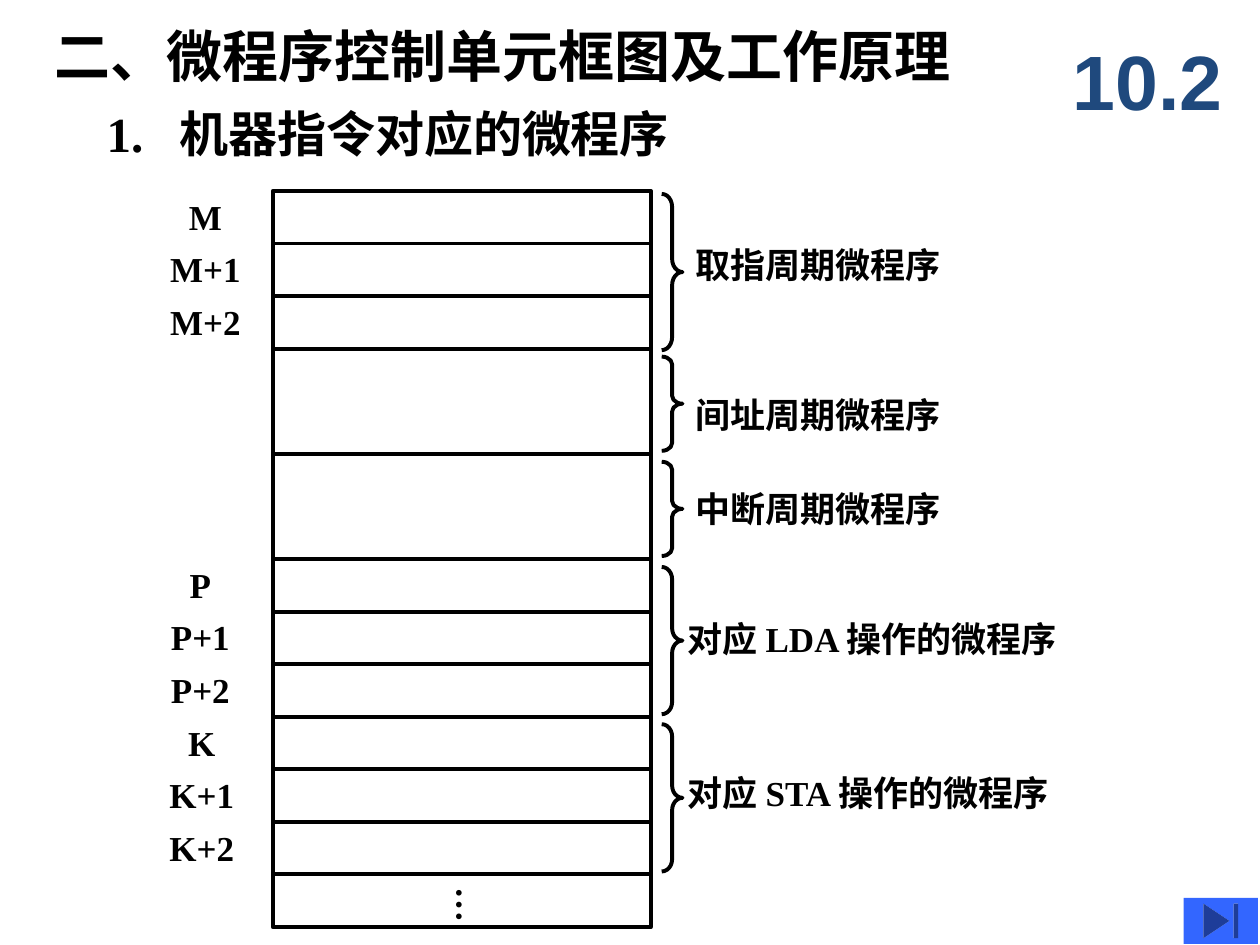
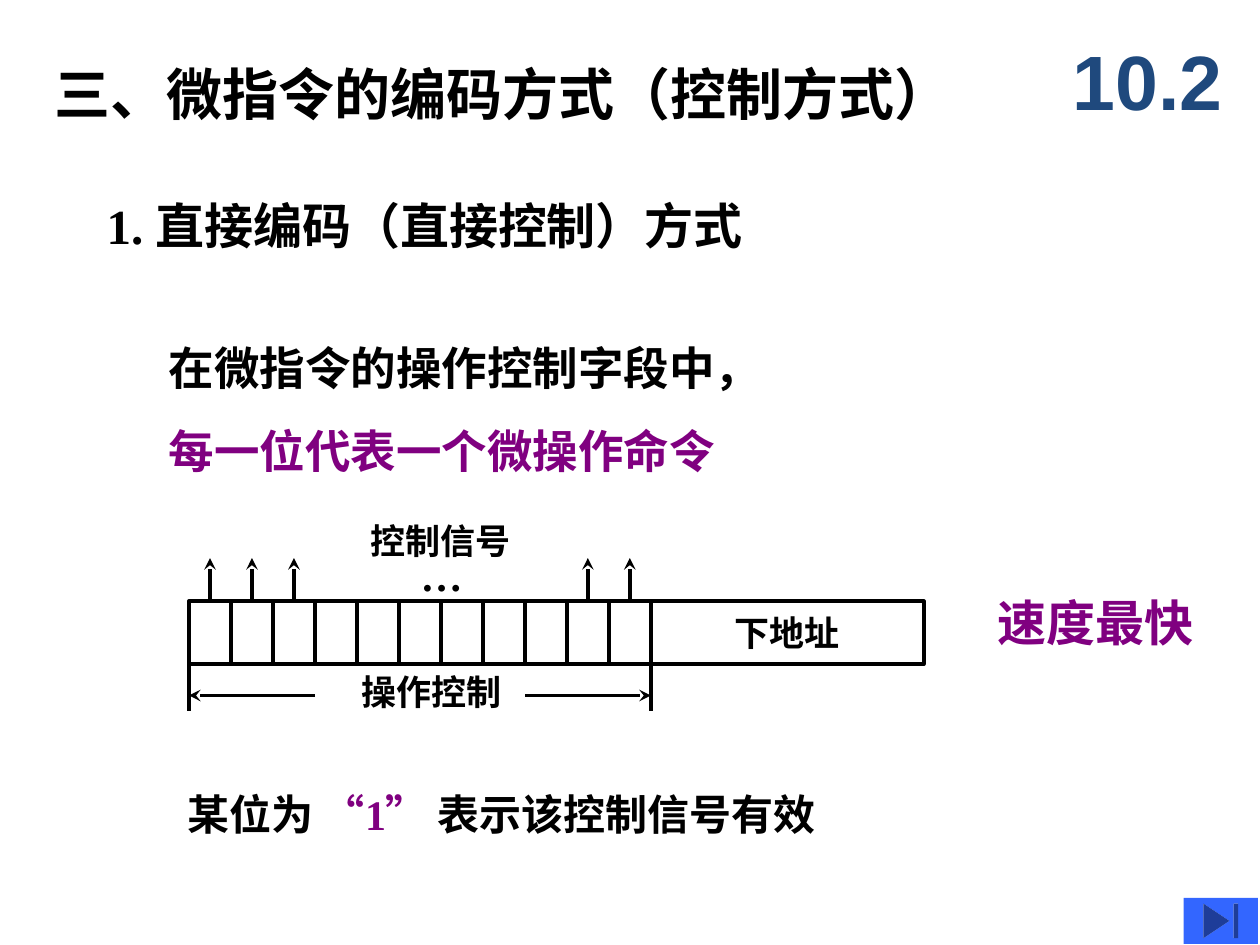
"""Build two slides on microprogram layout and direct encoding of microinstructions."""
from dataclasses import dataclass

from lxml import etree
from pptx import Presentation
from pptx.dml.color import RGBColor
from pptx.enum.shapes import MSO_CONNECTOR, MSO_SHAPE
from pptx.enum.text import MSO_ANCHOR, MSO_AUTO_SIZE, PP_ALIGN
from pptx.oxml.ns import qn
from pptx.util import Cm, Pt

RECT, BRACE = MSO_SHAPE.RECTANGLE, MSO_SHAPE.RIGHT_BRACE
BUTTON = MSO_SHAPE.ACTION_BUTTON_END
LINE = MSO_CONNECTOR.STRAIGHT
TOP, MIDDLE = MSO_ANCHOR.TOP, MSO_ANCHOR.MIDDLE
LEFT, CENTER = PP_ALIGN.LEFT, PP_ALIGN.CENTER
FIXED = MSO_AUTO_SIZE.NONE


@dataclass(frozen=True)
class Theme:
    """Colours, fonts and type sizes in points."""
    ink: str = "000000"
    accent: str = "800080"
    navy: str = "1F497D"
    blue: str = "3366FF"
    serif: str = "Times New Roman"
    sans: str = "DejaVu Sans"
    plain: str = "Arial"
    tag: int = 44
    title: int = 32
    head: int = 28
    body: int = 26
    note: int = 24
    label: int = 20
    line: float = 2.25


class Deck:
    """Hold the style and the slide being drawn."""

    def __init__(self, theme):
        """Open an empty 4:3 deck."""
        self.theme = theme
        self.file = Presentation()
        self.file.slide_width, self.file.slide_height = Cm(25.4), Cm(19.05)
        self.slide = None

    def page(self, title, top, font):
        """Add a slide with its title, section tag and button."""
        t = self.theme
        self.slide = self.file.slides.add_slide(self.file.slide_layouts[5])
        head = self.slide.shapes.title
        head.left, head.top, head.width, head.height = Cm(0.84), Cm(top), Cm(20.32), Cm(1.63)
        self.fill(head.text_frame, [[(title, t.ink, font)]], t.title)
        self.text("10.2", 21.38, 0.43, 4.02, 2.34, size=t.tag, color=t.navy,
                  font=t.plain, anchor=MIDDLE)
        self.shape(BUTTON, 23.86, 18.1, 1.5, 0.93, t.blue)

    def fill(self, frame, paras, size, align=LEFT, anchor=TOP, gap=0):
        """Fill a frame with paragraphs of (text, colour, font) runs."""
        frame.word_wrap = True
        frame.auto_size = FIXED
        frame.vertical_anchor = anchor
        for i, runs in enumerate(paras):
            para = frame.add_paragraph() if i else frame.paragraphs[0]
            para.alignment = align
            para.space_before = Pt(gap if i else 0)
            for words, color, face in runs:
                run = para.add_run()
                run.text = words
                font = run.font
                font.name, font.size, font.bold = face, Pt(size), True
                font.color.rgb = RGBColor.from_string(color)

    def rich(self, paras, x, y, w, h, size, **style):
        """Add a text box of mixed runs and return its frame."""
        frame = self.slide.shapes.add_textbox(Cm(x), Cm(y), Cm(w), Cm(h)).text_frame
        self.fill(frame, paras, size, **style)
        return frame

    def text(self, words, x, y, w, h=1.12, size=None, color=None, font=None, **style):
        """Add a text box holding one run and return its frame."""
        t = self.theme
        run = (words, color or t.ink, font or t.serif)
        return self.rich([[run]], x, y, w, h, size or t.label, **style)

    def shape(self, kind, x, y, w, h, fill=None):
        """Add a filled shape without line, or an outlined one."""
        item = self.slide.shapes.add_shape(kind, Cm(x), Cm(y), Cm(w), Cm(h))
        item.shadow.inherit = False
        if fill:
            item.fill.solid()
            item.fill.fore_color.rgb = RGBColor.from_string(fill)
            item.line.fill.background()
        else:
            item.fill.background()
            self.stroke(item.line)
        return item

    def brace(self, x, y, w, h):
        """Add a right brace whose curl follows its height."""
        self.shape(BRACE, x, y, w, h).adjustments[0] = h / 12 / w

    def stroke(self, line):
        """Give a line the shared colour and width."""
        line.color.rgb = RGBColor.from_string(self.theme.ink)
        line.width = Pt(self.theme.line)

    def rule(self, x1, y1, x2, y2, arrow=False, root=None):
        """Add a line, with an arrow or a shape's top to start from."""
        item = self.slide.shapes.add_connector(LINE, Cm(x1), Cm(y1), Cm(x2), Cm(y2))
        if root:
            item.begin_connect(root, 0)
        self.stroke(item.line)
        props = item._element.spPr
        if arrow:
            etree.SubElement(props.find(qn("a:ln")), qn("a:tailEnd"), type="stealth")
        etree.SubElement(props, qn("a:effectLst"))


def store(deck):
    """Draw the control store and the programs it holds."""
    t = deck.theme
    deck.page("二、微程序控制单元框图及工作原理", 0.3, t.serif)
    head = deck.text("1.\t机器指令对应的微程序", 1.9, 1.96, 13.54, 1.45, size=t.head)
    props = head.paragraphs[0]._p.get_or_add_pPr()
    props.set("marL", str(Cm(1.47)))
    props.set("indent", str(-Cm(1.47)))

    left, top, wide, step = 5.5, 3.85, 7.62, 1.06
    right = left + wide
    for row in (0, 1, 2, *range(7, 14)):
        deck.shape(RECT, left, top + row * step, wide, step)
    for x in (left, right):
        deck.rule(x, top + 3 * step, x, top + 7 * step)
    deck.rule(left, top + 5 * step, right, top + 5 * step)

    for name, first, mid in (("M", 0, 4.14), ("P", 7, 4.04), ("K", 10, 4.07)):
        for i, tail in enumerate(("", "+1", "+2")):
            deck.text(name + tail, mid - 1.2, top + (first + i) * step - 0.04, 2.4,
                      align=CENTER)
    dots = deck.text("…", 8.69, 17.65, 1.35, 0.97)
    dots._txBody.bodyPr.set("vert", "eaVert")
    dots.word_wrap = False
    dots.margin_left = dots.margin_right = Cm(0.13)
    dots.margin_top = dots.margin_bottom = Cm(0.25)

    parts = (
        ("取指周期微程序", 3.91, 3.15, 13.77, 4.78),
        ("间址周期微程序", 7.19, 1.9, 13.77, 7.8),
        ("中断周期微程序", 9.31, 1.9, 13.77, 9.7),
        ("对应 LDA 操作的微程序", 11.43, 2.97, 13.61, 12.32),
        ("对应 STA 操作的微程序", 14.6, 2.97, 13.61, 15.42),
    )
    for words, y, high, x, base in parts:
        deck.brace(13.34, y, 0.42, high)
        deck.text(words, x, base, 9)


def code(deck):
    """Draw the direct encoding of a microinstruction."""
    t = deck.theme
    deck.page("三、微指令的编码方式（控制方式）", 1.07, t.sans)
    deck.rich([[("1. ", t.ink, t.serif), ("直接编码（直接控制）方式", t.ink, t.sans)]],
              1.9, 3.81, 19.6, 1.45, t.head)
    deck.rich([[("在微指令的操作控制字段中，", t.ink, t.sans)],
               [("每一位代表一个微操作命令", t.accent, t.sans)]],
              3.15, 6.73, 17, 3.02, t.body, gap=16.2)
    deck.text("速度最快", 19.86, 11.81, 5, 1.45, size=t.head, color=t.accent, font=t.sans)

    left, top, high, count = 3.81, 12.12, 1.27, 11
    right = 13.12
    step = (right - left) / count
    bits = [deck.shape(RECT, left + i * step, top, step, high) for i in range(count)]
    field = deck.shape(RECT, right, top, 5.5, high)
    deck.fill(field.text_frame, [[("下地址", t.ink, t.serif)]], t.label,
              align=CENTER, anchor=MIDDLE)
    for i in (0, 1, 2, 9, 10):
        x = left + (i + 0.5) * step
        deck.rule(x, top, x, 11.25, arrow=True, root=bits[i])
    deck.text("…", 8.23, 10.95, 2, 1.27, size=t.note)
    deck.text("控制信号", 7.21, 10.34, 4)

    base = top + high
    for edge, start in ((left, 6.35), (right, 10.59)):
        deck.rule(edge, base, edge, 14.33)
        deck.rule(start, 14.02, edge, 14.02, arrow=True)
    deck.text("操作控制", 7.04, base, 4)
    deck.rich([[("某位为 ", t.ink, t.serif), ("“1”", t.accent, t.serif),
                (" 表示该控制信号有效", t.ink, t.serif)]], 3.53, 15.77, 16, 1.27, t.note)


def main():
    """Build and save the deck."""
    deck = Deck(Theme())
    store(deck)
    code(deck)
    deck.file.save("out.pptx")


if __name__ == "__main__":
    main()
